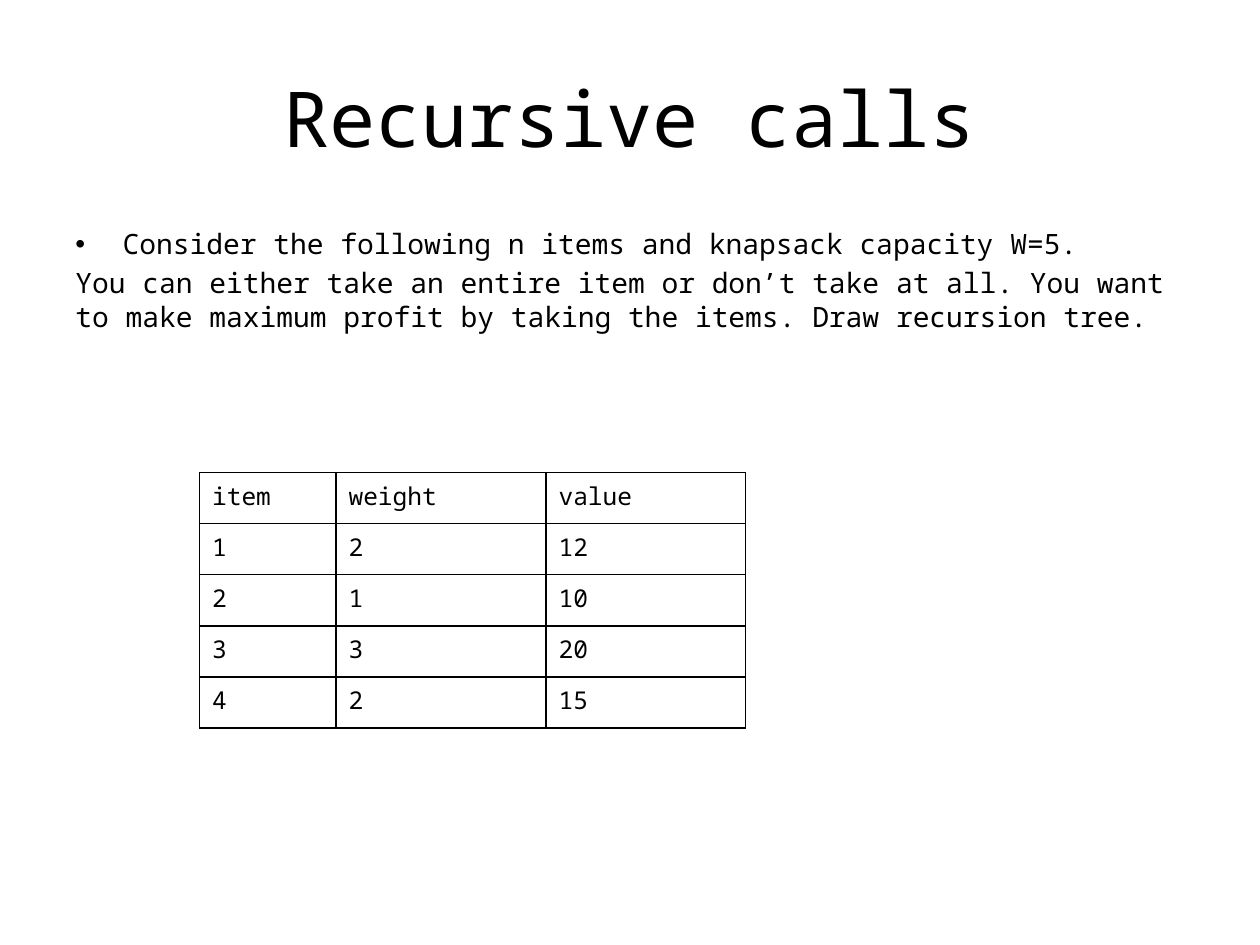
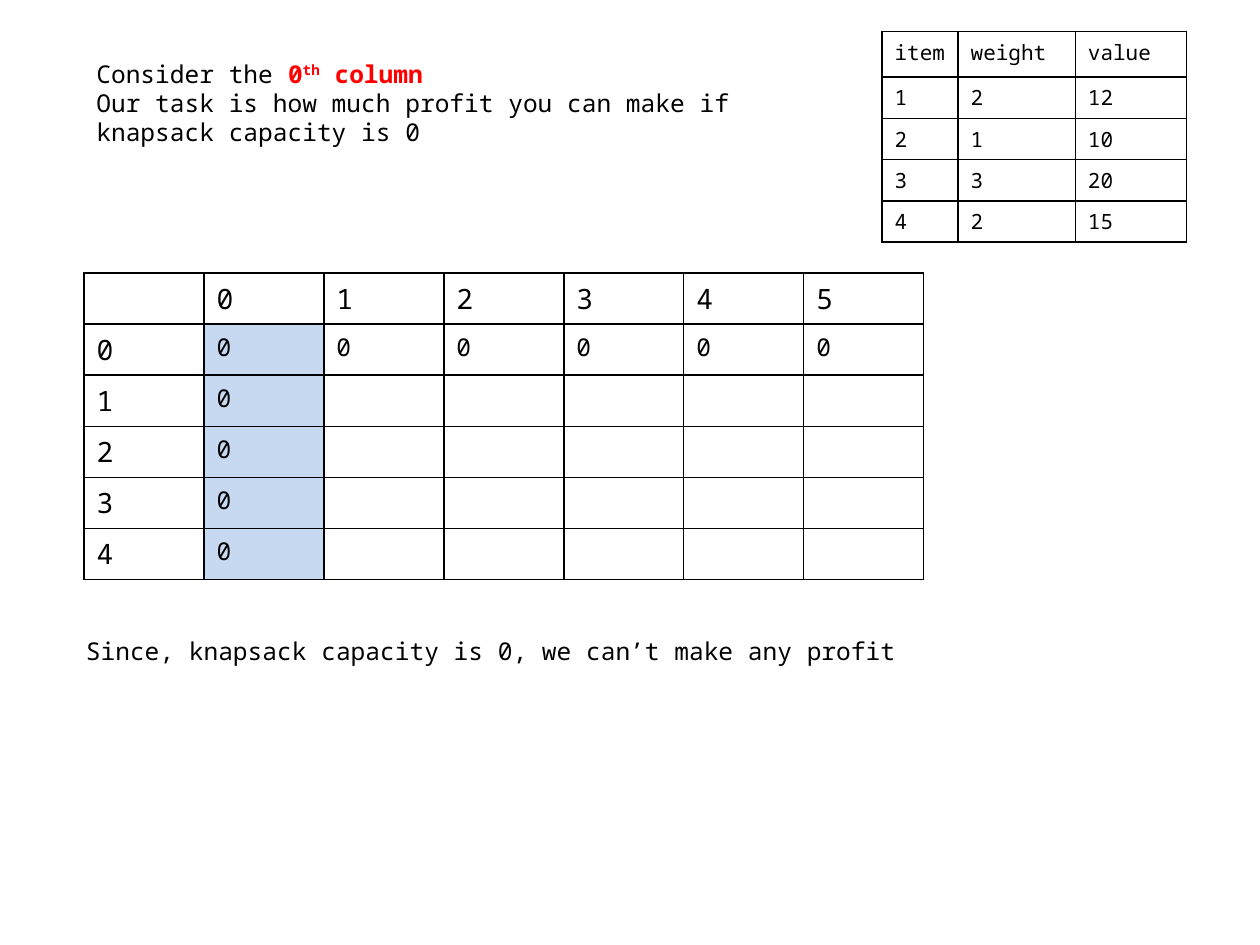
from lxml import etree
from pptx import Presentation
from pptx import util as u
from pptx.dml import color
from pptx.enum import text
from pptx.oxml import ns

Pt = u.Pt
FONT = "Noto Sans Mono"
HUES = {"ink": "000000", "mark": "FF0000", "paper": "FFFFFF", "shade": "C6D9F1"}
ITEMS = [
    ["item", "weight", "value"],
    ["1", "2", "12"],
    ["2", "1", "10"],
    ["3", "3", "20"],
    ["4", "2", "15"],
]


def paint(name):
    return color.RGBColor.from_string(HUES[name])


def write(para, words, size=14, hue="ink", bold=False, lift=0):
    if not words:
        end = etree.SubElement(para._p, ns.qn("a:endParaRPr"))
        end.set("sz", str(size * 100))
        etree.SubElement(end, ns.qn("a:latin")).set("typeface", FONT)
        return
    run = para.add_run()
    run.text = words
    font = run.font
    font.name, font.size, font.bold = FONT, Pt(size), bold
    font.color.rgb = paint(hue)
    if lift:
        run._r.get_or_add_rPr().set("baseline", str(lift * 1000))


class Deck:
    def __init__(self):
        self.show = Presentation()
        self.show.slide_width, self.show.slide_height = Pt(720), Pt(540)

    def page(self):
        self.slide = self.show.slides.add_slide(self.show.slide_layouts[6])
        back = self.slide.background.fill
        back.solid()
        back.fore_color.rgb = paint("paper")

    def block(self, place, paras, size=14, gap=0, align=text.PP_ALIGN.LEFT,
              anchor=text.MSO_ANCHOR.TOP, bullets=()):
        frame = self.slide.shapes.add_textbox(*map(Pt, place)).text_frame
        frame.word_wrap = True
        frame.vertical_anchor = anchor
        for i, parts in enumerate(paras):
            para = frame.add_paragraph() if i else frame.paragraphs[0]
            para.alignment = align
            para.space_before = Pt(gap)
            for words, form in parts:
                write(para, words, size=size, **form)
            if i in bullets:
                self.bullet(para)

    def bullet(self, para):
        props = para._p.get_or_add_pPr()
        props.set("marL", str(Pt(27)))
        props.set("indent", str(Pt(-27)))
        etree.SubElement(props, ns.qn("a:buFont")).set("typeface", "Arial")
        etree.SubElement(props, ns.qn("a:buChar")).set("char", "•")

    def title(self, words):
        self.block((36, 21.6, 648, 90), [[(words, {})]], size=44,
                   align=text.PP_ALIGN.CENTER, anchor=text.MSO_ANCHOR.MIDDLE)

    def grid(self, left, top, wides, highs, rows, size, fill):
        shape = self.slide.shapes.add_table(
            len(rows), len(wides), Pt(left), Pt(top), Pt(sum(wides)), Pt(sum(highs)))
        table = shape.table
        table.first_row = table.horz_banding = False
        for col, wide in zip(table.columns, wides):
            col.width = Pt(wide)
        for row, high in zip(table.rows, highs):
            row.height = Pt(high)
        for r, row in enumerate(rows):
            for c, words in enumerate(row):
                cell = table.cell(r, c)
                write(cell.text_frame.paragraphs[0], words, size=size(r, c))
                self.border(cell)
                hue = fill(r, c)
                if hue:
                    cell.fill.solid()
                    cell.fill.fore_color.rgb = paint(hue)
                else:
                    cell.fill.background()

    def border(self, cell):
        props = cell._tc.get_or_add_tcPr()
        for side in ("L", "R", "T", "B"):
            line = etree.SubElement(props, ns.qn("a:ln" + side), w=str(Pt(1)))
            solid = etree.SubElement(line, ns.qn("a:solidFill"))
            etree.SubElement(solid, ns.qn("a:srgbClr"), val=HUES["ink"])

    def items(self, left, top, wides, highs, size):
        self.grid(left, top, wides, highs, ITEMS, lambda r, c: size, lambda r, c: None)


def calls(deck):
    deck.page()
    deck.title("Recursive calls")
    deck.block((36, 126, 648, 356.4), [
        [("Consider the following n items and knapsack capacity W=5.", {})],
        [("You can either take an entire item or don’t take at all. You want to make "
          "maximum profit by taking the items. Draw recursion tree.", {})],
    ], size=16, gap=3.2, bullets=(0,))
    deck.items(114, 270, (78, 120, 114), [29.2] * 5, 14)


def profit(deck):
    deck.page()
    deck.items(504, 18, (43.5, 67, 63.5), [26] + [23.6] * 4, 12)

    rows = [[""] + [str(n) for n in range(6)]]
    for n in range(5):
        rows.append([str(n), "0"] + ["" if n else "0"] * 5)

    def size(r, c):
        return 14 if r and c else 16

    def fill(r, c):
        if r and c == 1:
            return "shade"
        return "paper" if r == 1 and c else None

    deck.grid(48, 156, [68.57] * 7, [29.2] * 6, rows, size, fill)
    deck.block((42, 360, 624, 24.5),
               [[("Since, knapsack capacity is 0, we can’t make any profit", {})]])
    mark = {"hue": "mark", "bold": True}
    deck.block((48, 30, 408, 58), [
        [("Consider the ", {}), ("0", mark), ("th", {**mark, "lift": 30}), (" column", mark)],
        [("Our task is how much profit you can make if knapsack capacity is 0", {})],
    ])


def main():
    deck = Deck()
    calls(deck)
    profit(deck)
    deck.show.save("out.pptx")


if __name__ == "__main__":
    main()
